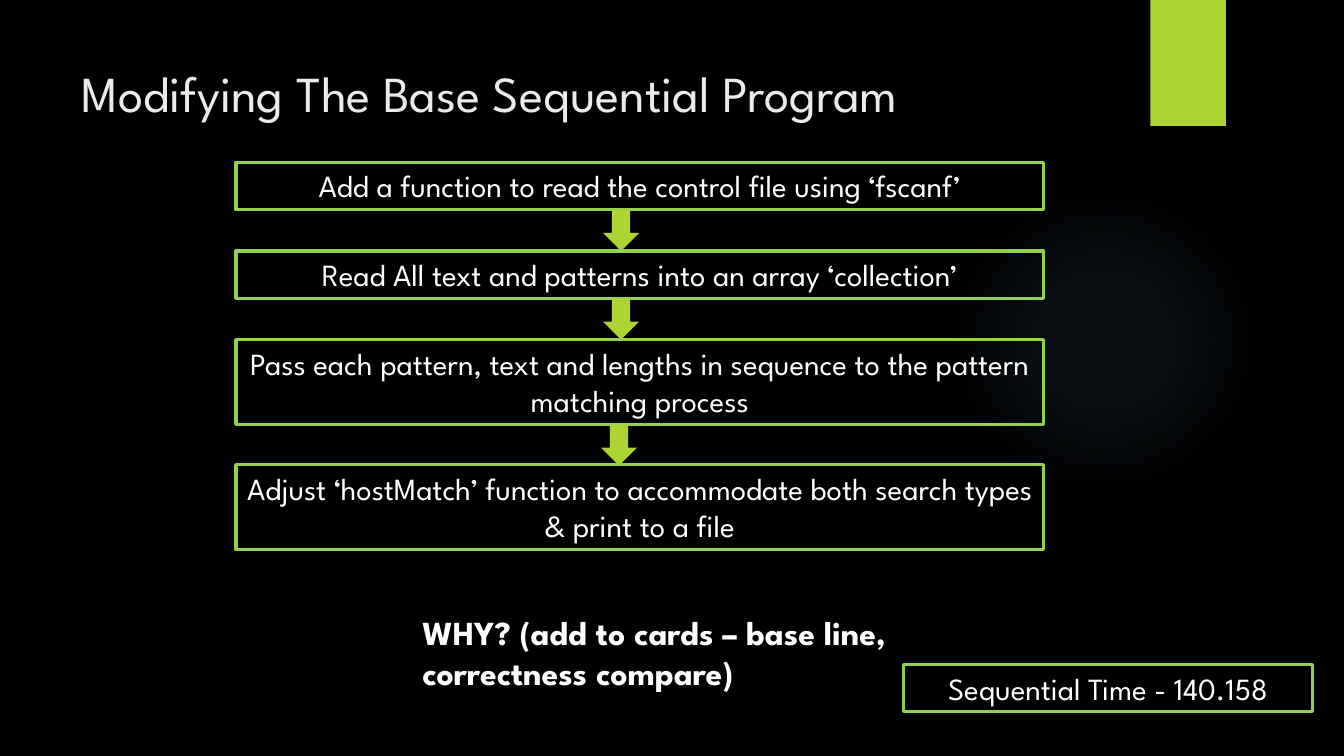
from lxml import etree
from pptx import Presentation
from pptx.dml.color import RGBColor
from pptx.enum.shapes import MSO_SHAPE
from pptx.enum.text import MSO_ANCHOR, MSO_AUTO_SIZE, PP_ALIGN
from pptx.oxml.ns import qn
from pptx.util import Inches, Pt

RECTANGLE, ELLIPSE, DOWN_ARROW = MSO_SHAPE.RECTANGLE, MSO_SHAPE.OVAL, MSO_SHAPE.DOWN_ARROW
LEFT, CENTER = PP_ALIGN.LEFT, PP_ALIGN.CENTER
TOP, MIDDLE = MSO_ANCHOR.TOP, MSO_ANCHOR.MIDDLE
GROW = MSO_AUTO_SIZE.SHAPE_TO_FIT_TEXT
FONT = "League Spartan"
COLORS = {"background": "000000", "glow": "7AC4F0", "accent": "ACD433",
          "outline": "92D050", "title": "EBEBEB", "text": "FFFFFF"}

deck = Presentation()
deck.slide_width, deck.slide_height = Inches(13.33), Inches(7.5)
page = deck.slides.add_slide(deck.slide_layouts[6])
page.background.fill.solid()
page.background.fill.fore_color.rgb = RGBColor.from_string(COLORS["background"])


def add_figure(kind, left, top, width, height, fill=None, line=None):
    figure = page.shapes.add_shape(kind, Inches(left), Inches(top), Inches(width), Inches(height))
    figure.shadow.inherit = False
    if fill:
        figure.fill.solid()
        figure.fill.fore_color.rgb = RGBColor.from_string(COLORS[fill])
    else:
        figure.fill.background()
    if line:
        figure.line.color.rgb = RGBColor.from_string(COLORS[line])
        figure.line.width = Pt(2.25)
    else:
        figure.line.fill.background()
    return figure


def set_text(box, text, size, color="text", align=CENTER, anchor=TOP, bold=False):
    frame = box.text_frame
    frame.word_wrap = True
    frame.vertical_anchor = anchor
    frame.auto_size = GROW if anchor == TOP else MSO_AUTO_SIZE.NONE
    para = frame.paragraphs[0]
    para.text = text
    para.alignment = align
    para.font.name, para.font.size, para.font.bold = FONT, Pt(size), bold
    para.font.color.rgb = RGBColor.from_string(COLORS[color])


# Soft round glow: a radial gradient that fades out
glow = add_figure(ELLIPSE, 9.41, 1.83, 3.08, 3.08)
glow.fill.gradient()
gradient = glow.fill._xPr.find(qn("a:gradFill"))
for child in list(gradient):
    gradient.remove(child)
stops = etree.SubElement(gradient, qn("a:gsLst"))
for position, opacity in ((0, 7), (36, 6), (69, 0)):
    stop = etree.SubElement(stops, qn("a:gs"), pos=str(position * 1000))
    color = etree.SubElement(stop, qn("a:srgbClr"), val=COLORS["glow"])
    etree.SubElement(color, qn("a:alpha"), val=str(opacity * 1000))
circle = etree.SubElement(gradient, qn("a:path"), path="circle")
etree.SubElement(circle, qn("a:fillToRect"), l="50000", t="50000", r="50000", b="50000")

# Accent tab and title
add_figure(RECTANGLE, 11.41, 0, 0.75, 1.25, fill="accent")
title = page.shapes.add_textbox(Inches(0.71), Inches(0.5), Inches(10.29), Inches(0.84))
set_text(title, "Modifying The Base Sequential Program", 36, "title", LEFT, MIDDLE)

# Steps, each followed by an arrow down to the next: top, height, arrow left, text
steps = [
    (1.61, 0.47, 5.98, "Add a function to read the control file using ‘fscanf’"),
    (2.49, 0.47, 5.98, "Read All text and patterns into an array ‘collection’"),
    (3.37, 0.84, 5.96, "Pass each pattern, text and lengths in sequence to the pattern matching process"),
    (4.61, 0.84, None, "Adjust ‘hostMatch’ function to accommodate both search types & print to a file"),
]
for top, height, arrow_left, text in steps:
    set_text(add_figure(RECTANGLE, 2.34, top, 8.01, height, line="outline"), text, 22)
    if arrow_left:
        add_figure(DOWN_ARROW, arrow_left, top + height, 0.36, 0.41, fill="accent")

# Reason and measured time
reason = page.shapes.add_textbox(Inches(4.09), Inches(6.02), Inches(5.12), Inches(0.91))
set_text(reason, "WHY? (add to cards – base line, correctness compare)", 24, align=LEFT, bold=True)
timing = add_figure(RECTANGLE, 8.96, 6.59, 4.06, 0.47, line="outline")
set_text(timing, "Sequential Time - 140.158", 22)

deck.save("out.pptx")
